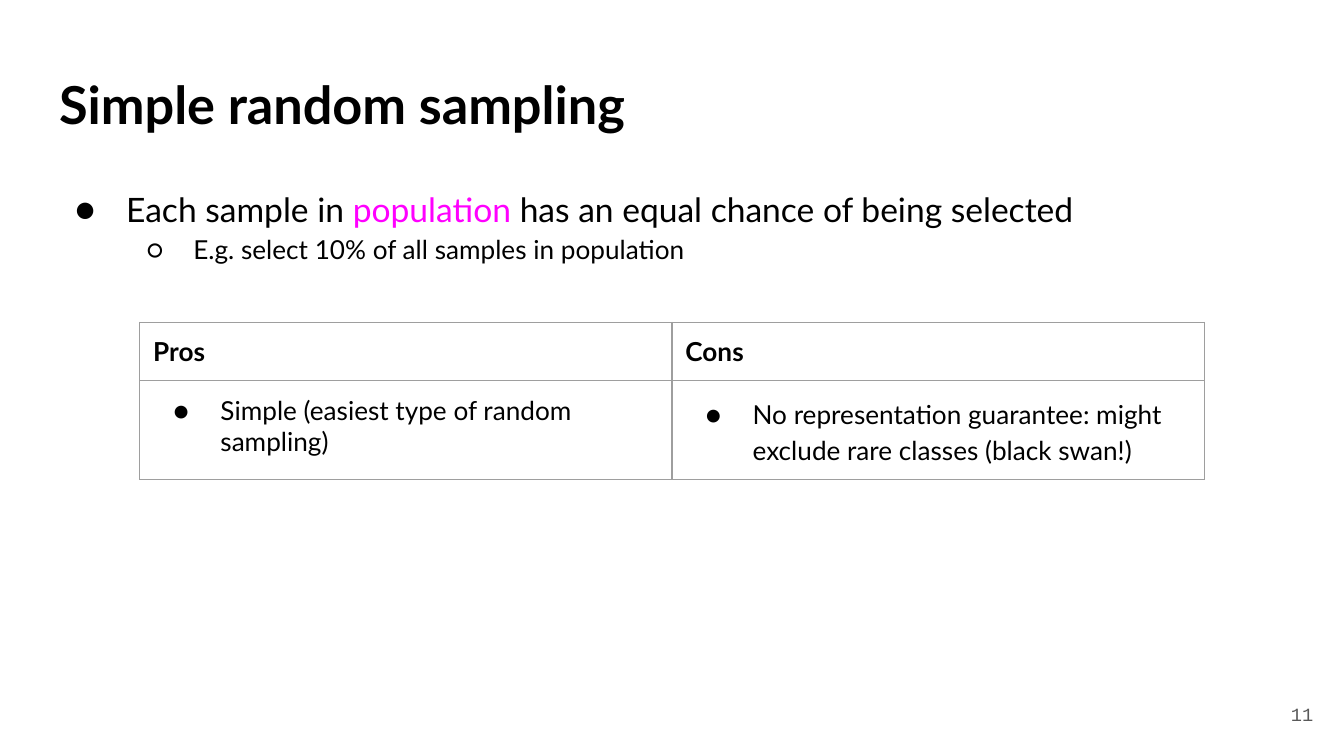
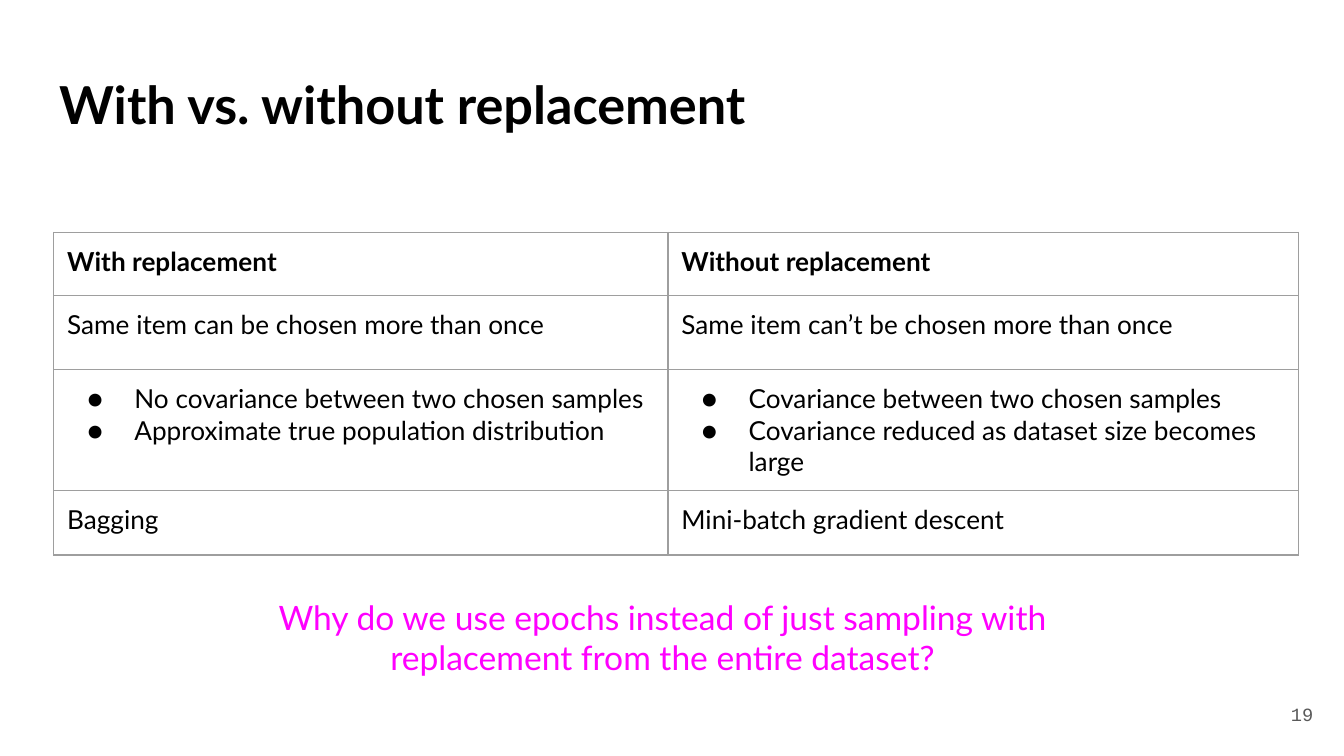
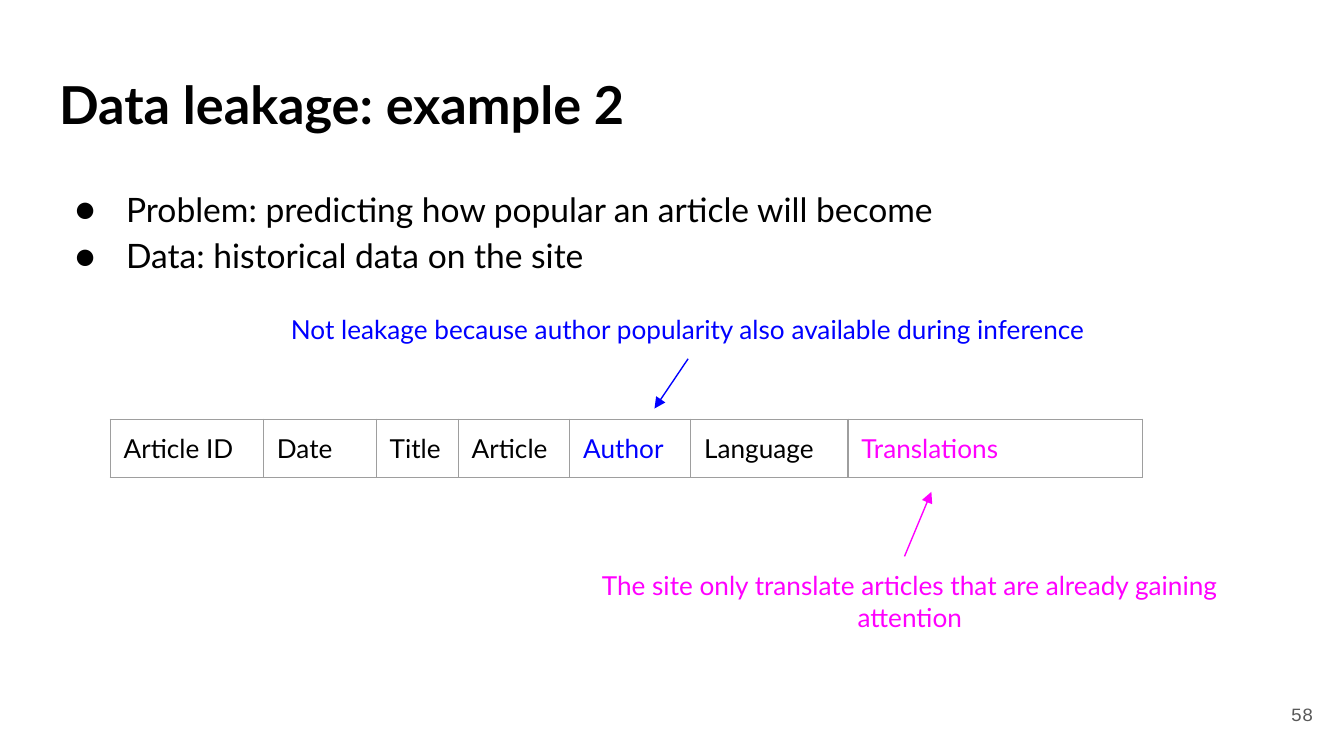
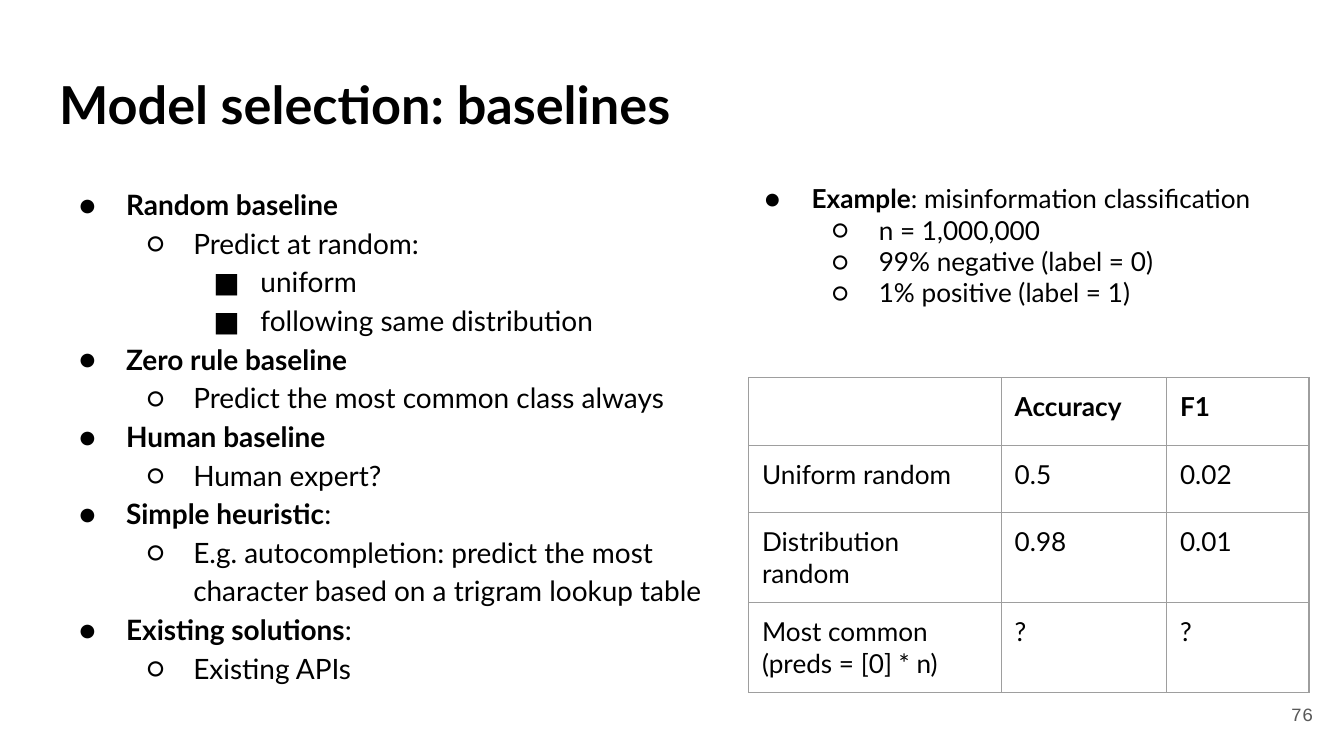
from dataclasses import dataclass

from lxml import etree
from pptx import Presentation
from pptx.dml.color import RGBColor
from pptx.enum.shapes import MSO_CONNECTOR
from pptx.enum.text import MSO_ANCHOR, MSO_AUTO_SIZE, PP_ALIGN
from pptx.oxml.ns import qn
from pptx.util import Inches, Pt

STRAIGHT = MSO_CONNECTOR.STRAIGHT
TOP, MIDDLE = MSO_ANCHOR.TOP, MSO_ANCHOR.MIDDLE
LEFT, CENTER, RIGHT = PP_ALIGN.LEFT, PP_ALIGN.CENTER, PP_ALIGN.RIGHT
NO_AUTOFIT = MSO_AUTO_SIZE.NONE
BOTTOM_SIDE = 2


@dataclass(frozen=True)
class Theme:
    font: str = "Lato"
    number_font: str = "Courier New"
    ink: str = "000000"
    pink: str = "FF00FF"
    blue: str = "0000FF"
    grid: str = "9E9E9E"
    muted: str = "595959"
    title_size: int = 28
    body_size: int = 18
    list_size: int = 15
    small_size: int = 14
    number_size: int = 10
    line_width: float = 0.75
    body_spacing: float = 1.15
    margin: float = 0.1
    bullets: str = "●○■"


THEME = Theme()


def bold(text):
    return text, {"bold": True}


def pink(text):
    return text, {"color": THEME.pink}


def blue(text):
    return text, {"color": THEME.blue}


def bullet(*runs, level=1, **style):
    return {"runs": runs, "level": level, **style}


TITLE_BOX = (0.34, 0.44, 9.32, 0.63)
NUMBER_BOX = (9.27, 5.1, 0.6, 0.43)
BODY = {"spacing": THEME.body_spacing}

SLIDES = [
    {
        "title": "Simple random sampling",
        "number": 11,
        "texts": [
            {
                "box": (0.34, 1.26, 9.32, 3.74),
                "paragraphs": [
                    bullet("Each sample in ", pink("population"),
                           " has an equal chance of being selected"),
                    bullet("E.g. select 10% of all samples in population",
                           level=2, size=THEME.small_size),
                ],
                "style": BODY,
            },
        ],
        "table": {
            "at": (1.04, 2.4),
            "columns": [3.96, 3.96],
            "heights": [0.43, 0.73],
            "header": True,
            "rows": [
                ["Pros", "Cons"],
                [[bullet("Simple (easiest type of random sampling)")],
                 [bullet("No representation guarantee: might exclude rare "
                         "classes (black swan!)", spacing=THEME.body_spacing)]],
            ],
        },
    },
    {
        "title": "With vs. without replacement",
        "number": 19,
        "texts": [
            {
                "box": (1.84, 4.34, 6.18, 0.81),
                "paragraphs": ["Why do we use epochs instead of just sampling "
                               "with replacement from the entire dataset?"],
                "style": {"color": THEME.pink, "align": CENTER},
            },
        ],
        "table": {
            "at": (0.4, 1.73),
            "columns": [4.57, 4.69],
            "heights": [0.47, 0.55, 0.9, 0.48],
            "header": True,
            "rows": [
                ["With replacement", "Without replacement"],
                ["Same item can be chosen more than once",
                 "Same item can’t be chosen more than once"],
                [[bullet("No covariance between two chosen samples"),
                  bullet("Approximate true population distribution")],
                 [bullet("Covariance between two chosen samples"),
                  bullet("Covariance reduced as dataset size becomes large")]],
                ["Bagging", "Mini-batch gradient descent"],
            ],
        },
    },
    {
        "title": "Data leakage: example 2",
        "number": 58,
        "texts": [
            {
                "box": (0.34, 1.26, 6.87, 0.89),
                "paragraphs": [
                    bullet("Problem: predicting how popular an article will become"),
                    bullet("Data: historical data on the site"),
                ],
                "style": BODY,
            },
            {
                "box": (3.98, 4.14, 5.58, 0.44),
                "paragraphs": ["The site only translate articles that are "
                               "already gaining attention"],
                "style": {"size": THEME.small_size, "color": THEME.pink,
                          "align": CENTER},
                "arrow": {"start": (6.73, 4.14), "end": (6.93, 3.66)},
            },
            {
                "box": (1.95, 2.23, 6.34, 0.44),
                "paragraphs": ["Not leakage because author popularity also "
                               "available during inference"],
                "style": {"size": THEME.small_size, "color": THEME.blue,
                          "align": CENTER},
                "arrow": {"start": (5.12, 2.67), "end": (4.87, 3.04),
                          "side": BOTTOM_SIDE},
            },
        ],
        "table": {
            "at": (0.82, 3.12),
            "columns": [1.14, 0.84, 0.61, 0.83, 0.9, 1.17, 2.19],
            "heights": [0.43],
            "header": False,
            "rows": [
                ["Article ID", "Date", "Title", "Article", [blue("Author")],
                 "Language", [pink("Translations")]],
            ],
        },
    },
    {
        "title": "Model selection: baselines",
        "number": 76,
        "texts": [
            {
                "box": (0.34, 1.26, 5.1, 4.1),
                "paragraphs": [
                    bullet(bold("Random baseline")),
                    bullet("Predict at random:", level=2),
                    bullet("uniform", level=3),
                    bullet("following same distribution", level=3),
                    bullet(bold("Zero rule baseline")),
                    bullet("Predict the most common class always", level=2),
                    bullet(bold("Human baseline")),
                    bullet("Human expert?", level=2),
                    bullet(bold("Simple heuristic"), ":"),
                    bullet("E.g. autocompletion: predict the most character "
                           "based on a trigram lookup table", level=2),
                    bullet(bold("Existing solutions"), ":"),
                    bullet("Existing APIs", level=2),
                ],
                "style": {"size": THEME.list_size, **BODY},
            },
            {
                "box": (5.44, 1.26, 4.42, 1.14),
                "paragraphs": [
                    bullet(bold("Example"), ": misinformation classification"),
                    bullet("n = 1,000,000", level=2),
                    bullet("99% negative (label = 0)", level=2),
                    bullet("1% positive (label = 1)", level=2),
                ],
                "style": {"size": THEME.small_size},
            },
        ],
        "table": {
            "at": (5.57, 2.81),
            "columns": [1.88, 1.23, 1.06],
            "heights": [0.5, 0.5, 0.66, 0.67],
            "header": True,
            "rows": [
                ["", "Accuracy", "F1"],
                ["Uniform random", "0.5", "0.02"],
                ["Distribution random", "0.98", "0.01"],
                ["Most common (preds = [0] * n)", "?", "?"],
            ],
        },
    },
]


def inches(values):
    return [Inches(value) for value in values]


def add_bullet(paragraph, level, size):
    hanging = 0.38 if size == THEME.body_size else 0.35
    properties = paragraph._p.get_or_add_pPr()
    properties.set("marL", str(Inches(0.5 * level)))
    properties.set("indent", str(-Inches(hanging)))
    color = etree.SubElement(properties, qn("a:buClr"))
    etree.SubElement(color, qn("a:srgbClr"), val=THEME.ink)
    etree.SubElement(properties, qn("a:buFont"), typeface=THEME.font)
    etree.SubElement(properties, qn("a:buChar"), char=THEME.bullets[level - 1])
    paragraph.level = level - 1


def write(frame, paragraphs, size=THEME.body_size, color=THEME.ink, bold=False,
          font=THEME.font, align=LEFT, spacing=None, anchor=TOP):
    frame.word_wrap = True
    frame.vertical_anchor = anchor
    for index, content in enumerate(paragraphs):
        paragraph = frame.add_paragraph() if index else frame.paragraphs[0]
        details = content if isinstance(content, dict) else {"runs": [content]}
        text_size = details.get("size", size)
        if "level" in details:
            add_bullet(paragraph, details["level"], text_size)
        paragraph.alignment = align
        line_spacing = details.get("spacing", spacing)
        if line_spacing:
            paragraph.line_spacing = line_spacing
        for part in details["runs"]:
            words, changes = (part, {}) if isinstance(part, str) else part
            run = paragraph.add_run()
            run.text = words
            run.font.name = font
            run.font.size = Pt(text_size)
            run.font.bold = changes.get("bold", bold)
            run.font.color.rgb = RGBColor.from_string(changes.get("color", color))


def set_margins(frame):
    frame.auto_size = NO_AUTOFIT
    frame.margin_left = frame.margin_right = Inches(THEME.margin)
    frame.margin_top = frame.margin_bottom = Inches(THEME.margin)


def add_text(slide, box, paragraphs, **style):
    holder = slide.shapes.add_textbox(*inches(box))
    set_margins(holder.text_frame)
    write(holder.text_frame, paragraphs, **style)
    return holder


def add_title(slide, title):
    heading = slide.shapes.title
    heading.left, heading.top, heading.width, heading.height = inches(TITLE_BOX)
    set_margins(heading.text_frame)
    write(heading.text_frame, [title], size=THEME.title_size, bold=True)


def add_arrow(slide, note, color, start, end, side=None):
    arrow = slide.shapes.add_connector(STRAIGHT, *inches(start + end))
    if side is not None:
        arrow.begin_connect(note, side)
    arrow.line.color.rgb = RGBColor.from_string(color)
    arrow.line.width = Pt(THEME.line_width)
    etree.SubElement(arrow.line._ln, qn("a:tailEnd"), type="triangle")
    etree.SubElement(arrow._element.spPr, qn("a:effectLst"))


def add_borders(cell):
    properties = cell._tc.get_or_add_tcPr()
    for side in ("lnL", "lnR", "lnT", "lnB"):
        border = etree.SubElement(properties, qn(f"a:{side}"),
                                  w=str(Pt(THEME.line_width)))
        fill = etree.SubElement(border, qn("a:solidFill"))
        etree.SubElement(fill, qn("a:srgbClr"), val=THEME.grid)


def add_grid(slide, at, columns, heights, header, rows):
    size = (sum(columns), sum(heights))
    table = slide.shapes.add_table(len(rows), len(columns),
                                   *inches(at + size)).table
    table.first_row = table.horz_banding = False
    for column, width in zip(table.columns, columns):
        column.width = Inches(width)
    for row_index, (row, height) in enumerate(zip(rows, heights)):
        table.rows[row_index].height = Inches(height)
        for column_index, content in enumerate(row):
            cell = table.cell(row_index, column_index)
            add_borders(cell)
            cell.fill.background()
            cell.margin_left = cell.margin_right = Inches(THEME.margin)
            cell.margin_top = cell.margin_bottom = Inches(THEME.margin)
            if content:
                paragraphs = [content] if isinstance(content, str) else content
                write(cell.text_frame, paragraphs, size=THEME.small_size,
                      bold=header and row_index == 0)


def build_slide(deck, content):
    slide = deck.slides.add_slide(deck.slide_layouts[5])
    add_title(slide, content["title"])
    add_text(slide, NUMBER_BOX, [str(content["number"])], size=THEME.number_size,
             font=THEME.number_font, color=THEME.muted, align=RIGHT, anchor=MIDDLE)
    add_grid(slide, **content["table"])
    for text in content["texts"]:
        note = add_text(slide, text["box"], text["paragraphs"], **text["style"])
        if "arrow" in text:
            add_arrow(slide, note, text["style"]["color"], **text["arrow"])


def main():
    deck = Presentation()
    deck.slide_width = Inches(10)
    deck.slide_height = deck.slide_width * 9 // 16
    for content in SLIDES:
        build_slide(deck, content)
    deck.save("out.pptx")


if __name__ == "__main__":
    main()
